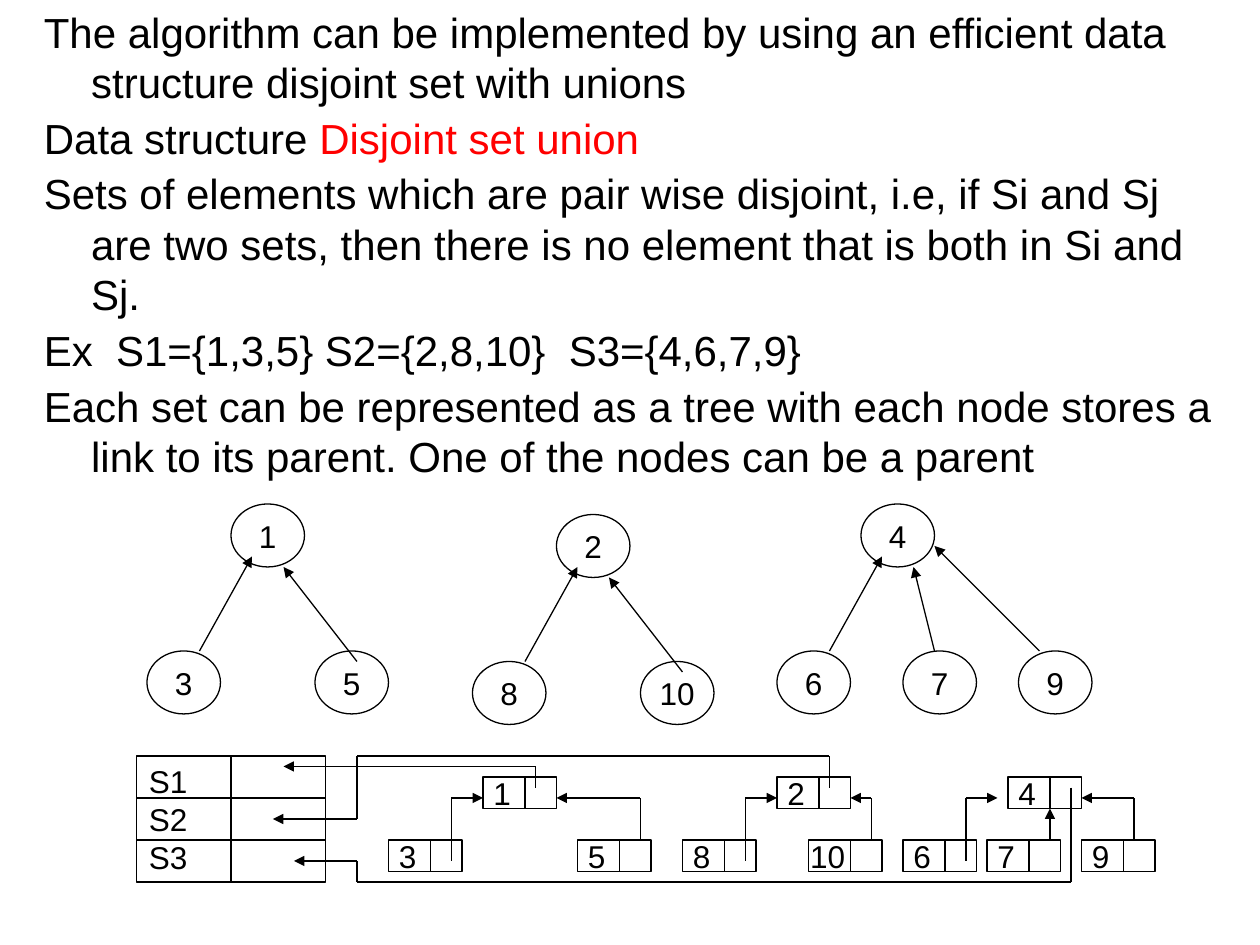
from pptx import Presentation
from pptx.dml.color import RGBColor
from pptx.enum.shapes import MSO_CONNECTOR, MSO_SHAPE
from pptx.enum.text import MSO_ANCHOR, PP_ALIGN
from pptx.oxml.ns import qn
from pptx.util import Pt
from lxml.etree import SubElement

HUES = {"ink": "000000", "key": "FF0000"}
INK = RGBColor.from_string(HUES["ink"])

deck = Presentation()
deck.slide_width, deck.slide_height = Pt(720), Pt(540)
slide = deck.slides.add_slide(deck.slide_layouts[6])
shapes = slide.shapes


def node(kind, x, y, w, h, lines, align=PP_ALIGN.CENTER, left=7.2, right=7.2):
    """Add an outlined, unfilled shape with one paragraph per line of text."""
    shape = shapes.add_shape(kind, Pt(x), Pt(y), Pt(w), Pt(h))
    shape.shadow.inherit = False
    shape.fill.background()
    shape.line.color.rgb = INK
    shape.line.width = Pt(0.75)
    frame = shape.text_frame
    form = {"word_wrap": False, "vertical_anchor": MSO_ANCHOR.MIDDLE,
            "margin_left": Pt(left), "margin_right": Pt(right)}
    for name, value in form.items():
        setattr(frame, name, value)
    frame.text = "\n".join(lines)
    for para in frame.paragraphs:
        para.alignment = align
        para.font.name, para.font.size = "Arial", Pt(18)
        para.font.color.rgb = INK
    return shape


def link(x1, y1, x2, y2, arrow=False):
    line = shapes.add_connector(MSO_CONNECTOR.STRAIGHT,
                                Pt(x1), Pt(y1), Pt(x2), Pt(y2))
    line.line.color.rgb = INK
    line.line.width = Pt(0.75)
    props = line._element.spPr
    if arrow:
        SubElement(props.find(qn("a:ln")), qn("a:tailEnd"), type="triangle")
    SubElement(props, qn("a:effectLst"))
    return line


# Body text, with a hanging indent
body = [
    [("The algorithm can be implemented by using an efficient data "
      "structure disjoint set with unions", "ink")],
    [("Data structure ", "ink"), ("Disjoint set union", "key")],
    [("Sets of elements which are pair wise disjoint, i.e, if Si and Sj "
      "are two sets, then there is no element that is both in Si and Sj.",
      "ink")],
    [("Ex  S1={1,3,5} S2={2,8,10}  S3={4,6,7,9}", "ink")],
    [("Each set can be represented as a tree with each node stores a "
      "link to its parent. One of the nodes can be a parent", "ink")],
]
frame = shapes.add_textbox(Pt(18), Pt(0), Pt(684), Pt(266)).text_frame
frame.word_wrap = True
for i, runs in enumerate(body):
    para = frame.add_paragraph() if i else frame.paragraphs[0]
    para._p.get_or_add_pPr().set("marL", str(Pt(27)))
    para._p.get_or_add_pPr().set("indent", str(Pt(-27)))
    if i:
        para.space_before = Pt(3)
    for text, hue in runs:
        run = para.add_run()
        run.text = text
        run.font.name, run.font.size = "Arial", Pt(24)
        run.font.color.rgb = RGBColor.from_string(HUES[hue])

# Trees: root, then each child with its offset and its link,
# all measured from the root's corner
near = (-18, 84, 12, 30)
far = (72, 90, 30, 36)
trees = [
    ("1", 132, 288, [("3", -48, near), ("5", 48, far)]),
    ("2", 318, 294, [("8", -48, near), ("10", 48, far)]),
    ("4", 492, 288, [("6", -48, near), ("7", 24, (42, 84, 30, 36)),
                     ("9", 90, (102, 84, 42, 24))]),
]
for root, x, y, kids in trees:
    node(MSO_SHAPE.OVAL, x, y, 42, 36, [root])
    for kid, dx, (x1, y1, x2, y2) in kids:
        node(MSO_SHAPE.OVAL, x + dx, y + 84, 42, 36, [kid])
        link(x + x1, y + y1, x + x2, y + y2, arrow=True)

# Table of set names
names = node(MSO_SHAPE.RECTANGLE, 78, 432, 108, 72, ["S1", "S2", "S3"],
             PP_ALIGN.LEFT)
for y in (456, 480):
    link(78, y, 186, y)
split = link(132, 432, 132, 504)
split.begin_connect(names, 0)
split.end_connect(names, 2)

# Records: a value and a parent field
rows = {
    444: [("1", 276), ("2", 444), ("4", 576)],
    480: [("3", 222), ("5", 330), ("8", 390), ("10", 462),
          ("6", 516), ("7", 564), ("9", 618)],
}
for y, cells in rows.items():
    for text, x in cells:
        node(MSO_SHAPE.RECTANGLE, x, y, 42, 18, [text], left=0, right=20)
        link(x + 24, y, x + 24, y + 18)

# Pointers: bent routes, each with an arrowhead on its last leg
routes = [
    [(306, 450), (306, 438), (162, 438)],
    [(474, 450), (474, 432), (204, 432), (204, 468), (156, 468)],
    [(612, 450), (612, 504), (204, 504), (204, 492), (168, 492)],
    [(258, 492), (258, 456), (276, 456)],
    [(366, 480), (366, 456), (318, 456)],
    [(426, 492), (426, 456), (444, 456)],
    [(498, 480), (498, 456), (486, 456)],
    [(552, 492), (552, 456), (570, 456)],
    [(600, 480), (600, 462)],
    [(648, 480), (648, 456), (618, 456)],
]
for route in routes:
    for start, end in zip(route, route[1:]):
        link(*start, *end, arrow=end == route[-1])

deck.save("out.pptx")
